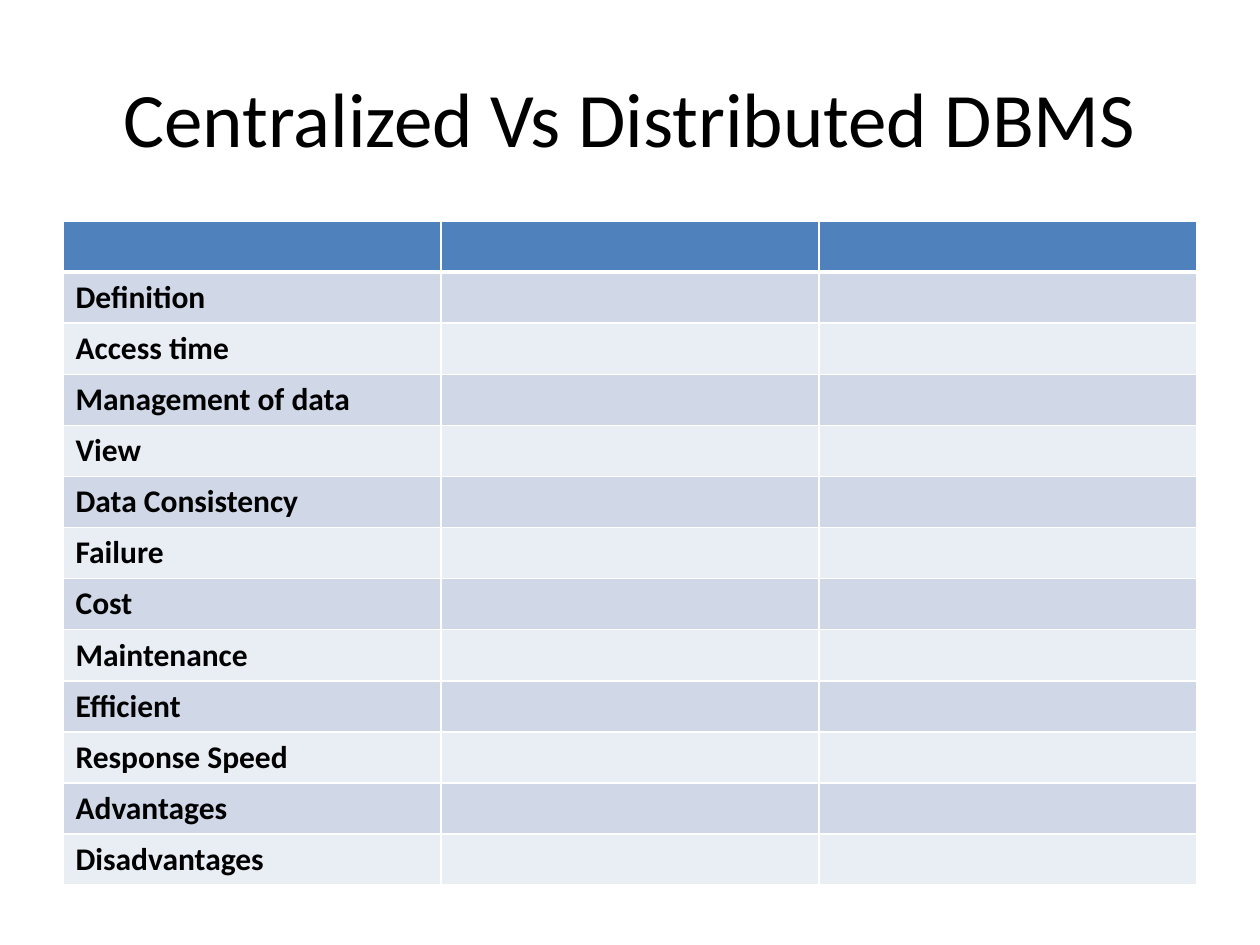
import lxml.etree
import pptx
import pptx.dml.color
import pptx.enum.text
import pptx.oxml.ns
import pptx.util

RGBColor = pptx.dml.color.RGBColor
BLACK = RGBColor(0x00, 0x00, 0x00)
WHITE = RGBColor(0xFF, 0xFF, 0xFF)
HEADER_BLUE = RGBColor(0x4F, 0x81, 0xBD)
BAND_DARK = RGBColor(0xD0, 0xD8, 0xE8)
BAND_LIGHT = RGBColor(0xE9, 0xED, 0xF4)

PX_PER_INCH = 126
PAGE_WIDTH, PAGE_HEIGHT = 1260, 945
MARGIN = 63
COLUMNS = 3
COLUMN_WIDTH = 378
ROW_HEIGHT = 51
CRITERIA = [
    "Definition", "Access time", "Management of data", "View",
    "Data Consistency", "Failure", "Cost", "Maintenance", "Efficient",
    "Response Speed", "Advantages", "Disadvantages",
]


def px(length):
    return pptx.util.Emu(round(length * 914400 / PX_PER_INCH))


class SlideBuilder:
    font = "Calibri"
    title_size = 44
    cell_size = 18

    def __init__(self, page):
        self.page = page

    def format_text(self, frame, size, bold=False):
        for para in frame.paragraphs:
            for span in para.runs:
                span.font.name = self.font
                span.font.size = pptx.util.Pt(size)
                span.font.bold = bold
                span.font.color.rgb = BLACK

    def title(self, text, left, top, width, height):
        box = self.page.shapes.title
        box.left, box.top = px(left), px(top)
        box.width, box.height = px(width), px(height)
        frame = box.text_frame
        frame.text = text
        frame.vertical_anchor = pptx.enum.text.MSO_ANCHOR.MIDDLE
        frame.paragraphs[0].alignment = pptx.enum.text.PP_ALIGN.CENTER
        self.format_text(frame, self.title_size)

    def borders(self, cell, top, bottom):
        properties = cell._tc.get_or_add_tcPr()
        for side, points in (("L", 1), ("R", 1), ("T", top), ("B", bottom)):
            line = lxml.etree.SubElement(
                properties, pptx.oxml.ns.qn(f"a:ln{side}"), w=str(pptx.util.Pt(points)))
            fill = lxml.etree.SubElement(line, pptx.oxml.ns.qn("a:solidFill"))
            lxml.etree.SubElement(fill, pptx.oxml.ns.qn("a:srgbClr"), val=str(WHITE))

    def table(self, labels, left, top):
        row_count = len(labels) + 1
        table = self.page.shapes.add_table(
            row_count, COLUMNS, px(left), px(top),
            px(COLUMNS * COLUMN_WIDTH), px(row_count * ROW_HEIGHT)).table
        for column in table.columns:
            column.width = px(COLUMN_WIDTH)
        for index, row in enumerate(table.rows):
            row.height = px(ROW_HEIGHT)
            band = BAND_DARK if index % 2 else BAND_LIGHT
            for cell in row.cells:
                self.borders(cell, 3 if index == 1 else 1, 3 if index == 0 else 1)
                cell.fill.solid()
                cell.fill.fore_color.rgb = band if index else HEADER_BLUE
        for index, label in enumerate(labels, start=1):
            frame = table.cell(index, 0).text_frame
            frame.text = label
            self.format_text(frame, self.cell_size, bold=True)


def main():
    deck = pptx.Presentation()
    deck.slide_width, deck.slide_height = px(PAGE_WIDTH), px(PAGE_HEIGHT)
    builder = SlideBuilder(deck.slides.add_slide(deck.slide_layouts[5]))
    builder.title("Centralized Vs Distributed DBMS", MARGIN, 38, COLUMNS * COLUMN_WIDTH, 158)
    builder.table(CRITERIA, MARGIN, 221)
    deck.save("out.pptx")


if __name__ == "__main__":
    main()
